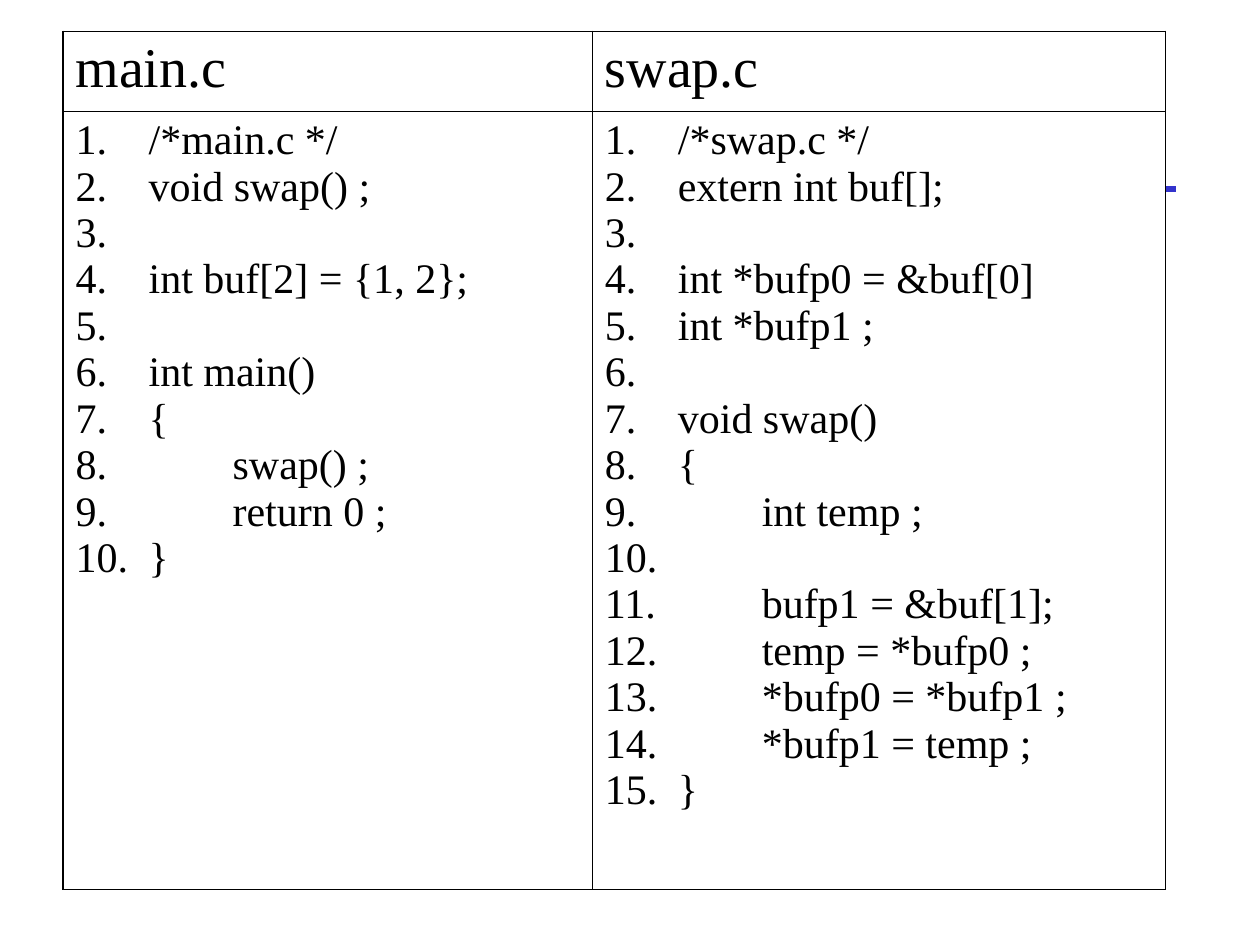
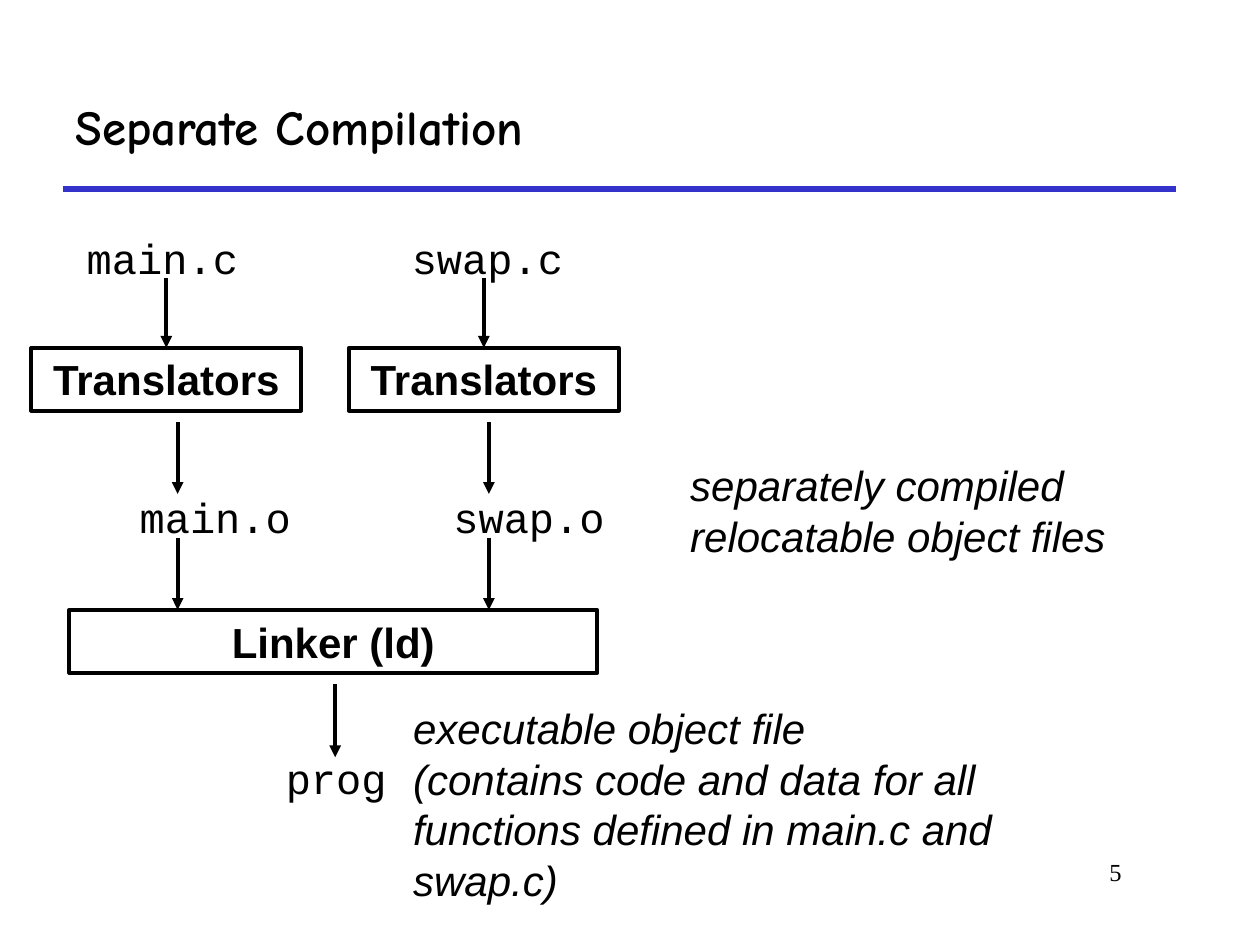
"""Build two slides on linking: the two source files and their separate compilation."""
from dataclasses import dataclass, field
from typing import Any, NamedTuple, Optional

from lxml.etree import SubElement
from pptx import Presentation
from pptx.dml.color import RGBColor
from pptx.enum.shapes import MSO_CONNECTOR, MSO_SHAPE
from pptx.enum.text import MSO_ANCHOR, PP_ALIGN
from pptx.oxml.ns import qn
from pptx.util import Emu, Pt

PX = 9144


@dataclass(frozen=True)
class Theme:
    ink: str = "000000"
    paper: str = "FFFFFF"
    accent: str = "3333CC"
    rule_width: float = 3
    box_width: float = 2.25
    outer_border: float = 1.08
    inner_border: float = 0.45
    line_height: float = 28.8
    title: dict[str, Any] = field(default_factory=lambda: dict(name="Comic Neue", size=Pt(28), bold=True))
    header: dict[str, Any] = field(default_factory=lambda: dict(name="Times New Roman", size=Pt(32)))
    code: dict[str, Any] = field(default_factory=lambda: dict(name="Times New Roman", size=Pt(24)))
    number: dict[str, Any] = field(default_factory=lambda: dict(name="Times New Roman", size=Pt(14)))
    file: dict[str, Any] = field(default_factory=lambda: dict(name="Courier New", size=Pt(24)))
    tool: dict[str, Any] = field(default_factory=lambda: dict(name="Arial", size=Pt(24), bold=True))
    note: dict[str, Any] = field(default_factory=lambda: dict(name="Arial", size=Pt(24), italic=True))


class Box(NamedTuple):
    x: int
    y: int
    w: int
    h: int


class Label(NamedTuple):
    text: str
    box: Box
    style: dict[str, Any]
    wrap: bool = True
    spacing: Optional[float] = None
    align: Any = PP_ALIGN.LEFT
    anchor: Any = MSO_ANCHOR.TOP


class Arrow(NamedTuple):
    x: int
    top: int
    bottom: int
    target: Any = None


class Listing(NamedTuple):
    name: str
    width: int
    lines: list[str]


THEME = Theme()
TABLE = Box(50, 25, 875, 681)
ROW_HEIGHTS = (63, 618)
NUMBER_INDENT = 58
LISTINGS = [
    Listing("main.c", 420, [
        "/*main.c */",
        "void swap() ;",
        " ",
        "int buf[2] = {1, 2};",
        " ",
        "int main()",
        "{",
        "        swap() ;",
        "        return 0 ;",
        "}",
    ]),
    Listing("swap.c", 455, [
        "/*swap.c */",
        "extern int buf[];",
        " ",
        "int *bufp0 = &buf[0]",
        "int *bufp1 ;",
        " ",
        "void swap()",
        "{",
        "        int temp ;",
        " ",
        "        bufp1 = &buf[1];",
        "        temp = *bufp0 ;",
        "        *bufp0 = *bufp1 ;",
        "        *bufp1 = temp ;",
        "}",
    ]),
]


def px(n: int) -> Emu:
    """Turn px into EMU."""
    return Emu(n * PX)


def place(box: Box) -> tuple[Emu, ...]:
    """Give the box's left, top, width and height in EMU."""
    return tuple(px(n) for n in box)


def add_run(p: Any, text: str, style: dict[str, Any]) -> None:
    """Add one run in the given type style."""
    r = p.add_run()
    r.text = text
    for key, value in style.items():
        setattr(r.font, key, value)
    r.font.color.rgb = RGBColor.from_string(THEME.ink)


def write(tf: Any, label: Label) -> None:
    """Fill a text frame with the label, one paragraph a line."""
    tf.word_wrap = label.wrap
    tf.vertical_anchor = label.anchor
    for i, line in enumerate(label.text.split("\n")):
        p = tf.add_paragraph() if i else tf.paragraphs[0]
        p.alignment = label.align
        if label.spacing:
            p.line_spacing = Pt(label.spacing)
        add_run(p, line, label.style)


def add_label(slide: Any, label: Label) -> None:
    """Add a plain text box."""
    write(slide.shapes.add_textbox(*place(label.box)).text_frame, label)


def add_tool(slide: Any, text: str, box: Box) -> Any:
    """Add an outlined box naming a tool."""
    sp = slide.shapes.add_shape(MSO_SHAPE.RECTANGLE, *place(box))
    sp.shadow.inherit = False
    sp.fill.background()
    sp.line.color.rgb = RGBColor.from_string(THEME.ink)
    sp.line.width = Pt(THEME.box_width)
    write(sp.text_frame, Label(text, box, THEME.tool, spacing=THEME.line_height, align=PP_ALIGN.CENTER))
    return sp


def add_line(slide: Any, x1: int, y1: int, x2: int, y2: int, color: str, width: float) -> Any:
    """Add a straight connector without a shadow."""
    cx = slide.shapes.add_connector(MSO_CONNECTOR.STRAIGHT, px(x1), px(y1), px(x2), px(y2))
    cx.line.color.rgb = RGBColor.from_string(color)
    cx.line.width = Pt(width)
    SubElement(cx._element.spPr, qn("a:effectLst"))
    return cx


def add_arrow(slide: Any, arrow: Arrow) -> None:
    """Add a downward arrow, joined to its target's top if it has one."""
    cx = add_line(slide, arrow.x, arrow.top, arrow.x, arrow.bottom, THEME.ink, THEME.box_width)
    SubElement(cx.line._get_or_add_ln(), qn("a:tailEnd"), type="triangle")
    if arrow.target is not None:
        cx.end_connect(arrow.target, 0)


def add_slide(prs: Any) -> Any:
    """Add a blank slide with the shared rule."""
    slide = prs.slides.add_slide(prs.slide_layouts[6])
    add_line(slide, 50, 150, 933, 150, THEME.accent, THEME.rule_width)
    return slide


def set_borders(cell: Any, widths: dict[str, float]) -> None:
    """Draw the cell's borders ahead of its fill."""
    tc_pr = cell._tc.get_or_add_tcPr()
    for i, (side, width) in enumerate(widths.items()):
        ln = SubElement(tc_pr, qn(f"a:ln{side}"), w=str(Pt(width)))
        fill = SubElement(ln, qn("a:solidFill"))
        SubElement(fill, qn("a:srgbClr"), val=THEME.ink)
        tc_pr.insert(i, ln)


def write_code(tf: Any, lines: list[str]) -> None:
    """Write code as numbered lines."""
    for i, line in enumerate(lines):
        p = tf.add_paragraph() if i else tf.paragraphs[0]
        p_pr = p._p.get_or_add_pPr()
        p_pr.set("marL", str(px(NUMBER_INDENT)))
        p_pr.set("indent", str(-px(NUMBER_INDENT)))
        SubElement(p_pr, qn("a:buFont"), typeface=THEME.code["name"])
        SubElement(p_pr, qn("a:buAutoNum"), type="arabicPeriod")
        add_run(p, line, THEME.code)


def build_sources(prs: Any) -> None:
    """Build the slide that sets the two source files side by side."""
    slide = add_slide(prs)
    table = slide.shapes.add_table(len(ROW_HEIGHTS), len(LISTINGS), *place(TABLE)).table
    table.first_row = table.horz_banding = False
    for row, height in zip(table.rows, ROW_HEIGHTS):
        row.height = px(height)
    outer, inner = THEME.outer_border, THEME.inner_border
    for c, listing in enumerate(LISTINGS):
        table.columns[c].width = px(listing.width)
        header, body = table.cell(0, c), table.cell(1, c)
        add_run(header.text_frame.paragraphs[0], listing.name, THEME.header)
        write_code(body.text_frame, listing.lines)
        header.fill.background()
        body.fill.solid()
        body.fill.fore_color.rgb = RGBColor.from_string(THEME.paper)
        sides = dict(L=inner if c else outer, R=outer if c else inner)
        set_borders(header, sides | dict(T=outer, B=inner))
        set_borders(body, sides | dict(T=inner, B=outer))


def build_compilation(prs: Any) -> None:
    """Build the diagram from source files to the program."""
    slide = add_slide(prs)
    main_tool, swap_tool = (add_tool(slide, "Translators", Box(x, 276, 214, 50)) for x in (25, 277))
    add_tool(slide, "Linker (ld)", Box(55, 484, 419, 50))
    arrows = [
        Arrow(132, 221, 276, main_tool),
        Arrow(384, 221, 276, swap_tool),
        *(Arrow(x, top, top + 57) for top in (335, 427) for x in (141, 388)),
        Arrow(266, 543, 601),
    ]
    for arrow in arrows:
        add_arrow(slide, arrow)
    files = [("main.c", 59, 175), ("swap.c", 317, 175), ("main.o", 101, 381), ("swap.o", 350, 381), ("prog", 217, 588)]
    for name, x, y in files:
        add_label(slide, Label(name, Box(x, y, 140 if "." in name else 100, 50), THEME.file, False, 32))
    notes = [
        ("separately compiled relocatable object files", Box(538, 360, 387, 90)),
        ("executable object file\n(contains code and data for all functions defined in main.c and swap.c)",
         Box(318, 553, 521, 170)),
    ]
    for text, box in notes:
        add_label(slide, Label(text, box, THEME.note, spacing=THEME.line_height))
    add_label(slide, Label("Separate Compilation", Box(50, 50, 883, 100), THEME.title, anchor=MSO_ANCHOR.MIDDLE))
    add_label(slide, Label("5", Box(758, 675, 142, 50), THEME.number, align=PP_ALIGN.RIGHT))


def main() -> None:
    """Build and save the deck."""
    prs = Presentation()
    prs.slide_width, prs.slide_height = px(1000), px(750)
    build_sources(prs)
    build_compilation(prs)
    prs.save("out.pptx")


if __name__ == "__main__":
    main()
